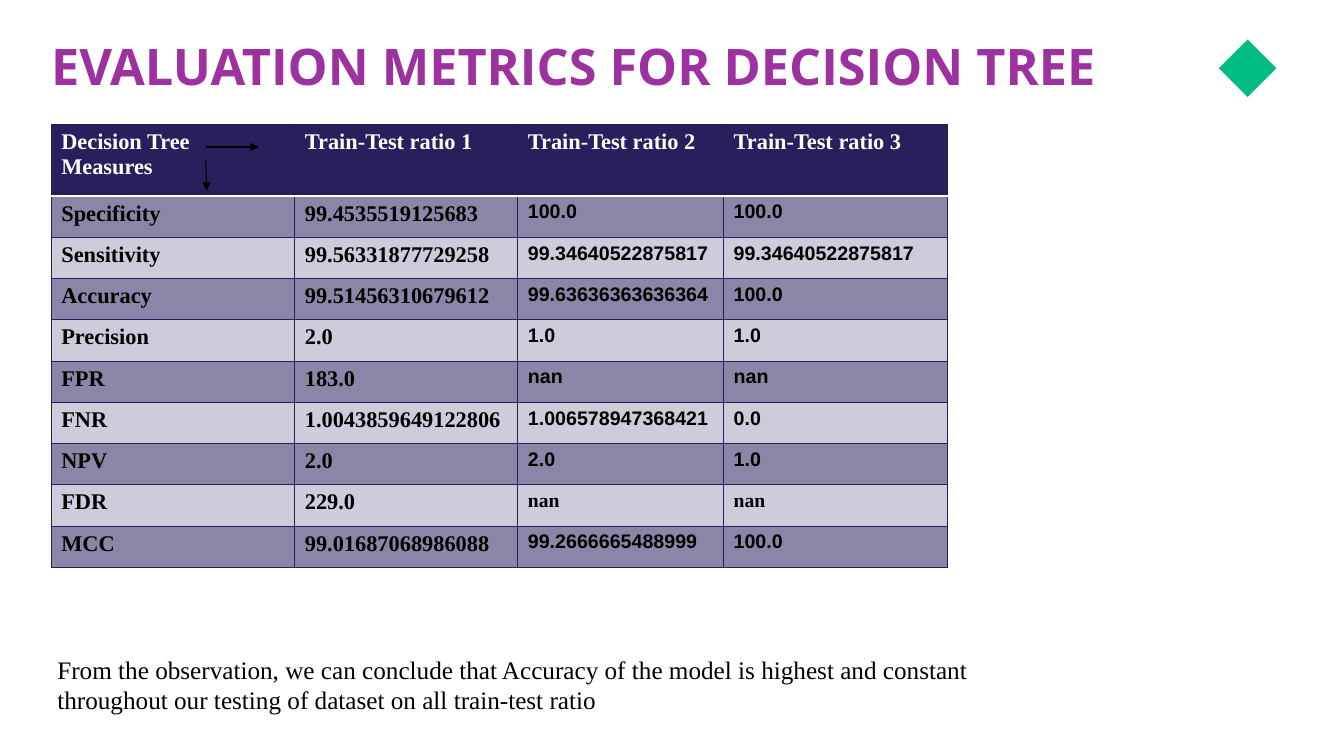
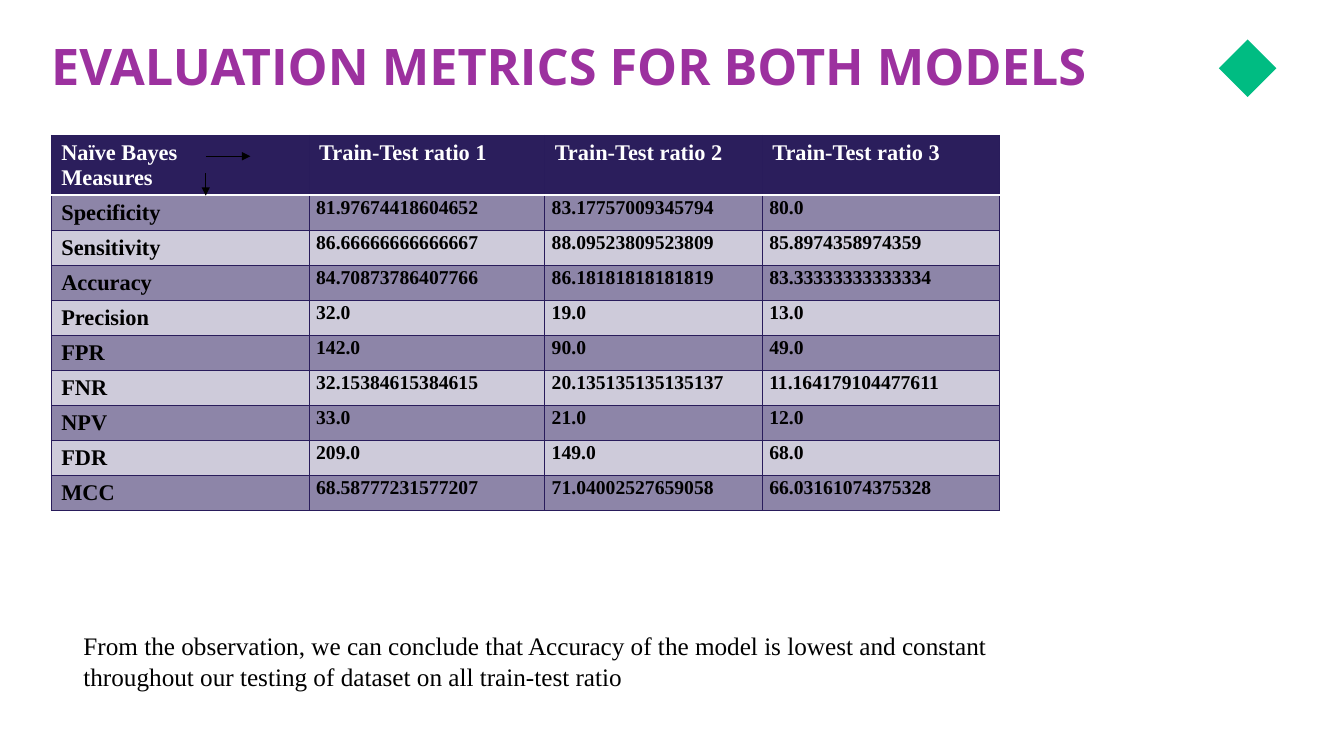
from dataclasses import dataclass

from lxml.etree import SubElement
from pptx import Presentation
from pptx.dml.color import RGBColor
from pptx.enum.shapes import MSO_CONNECTOR, MSO_SHAPE
from pptx.enum.text import MSO_ANCHOR, MSO_AUTO_SIZE, PP_ALIGN
from pptx.oxml import parse_xml
from pptx.oxml.ns import nsdecls, qn
from pptx.util import Inches, Pt

GRID_COLUMNS, GRID_ROWS = 160, 90
TITLE_ONLY_LAYOUT = 5


@dataclass(frozen=True)
class Theme:
    title: str = "9C319F"
    accent: str = "00BC82"
    header: str = "2B1E5C"
    border: str = "291C5B"
    dark_band: str = "8D85A8"
    light_band: str = "CECBDA"
    light: str = "FFFFFF"
    ink: str = "000000"
    title_font: str = "Open Sans"
    serif: str = "Times New Roman"
    sans: str = "Arial"
    title_size: float = 36
    note_size: float = 18
    label_size: float = 16
    value_size: float = 14
    line_width: float = 0.75
    header_line_width: float = 2


THEME = Theme()


@dataclass(frozen=True)
class CellStyle:
    font: str = THEME.serif
    size: float = THEME.label_size
    margins: tuple = (0.1, 0.05)
    line_spacing: float = 1.0


LABEL = CellStyle()
SANS_VALUE = CellStyle(font=THEME.sans, size=THEME.value_size)
SERIF_VALUE = CellStyle(size=THEME.value_size)
TIGHT_VALUE = CellStyle(size=THEME.value_size, margins=(0.07, 0), line_spacing=1.07)


class Deck:
    """Holds the theme, the presentation and the slide being built."""

    def __init__(self, theme):
        self.theme = theme
        self.presentation = Presentation()
        self.presentation.slide_width = Inches(13.33)
        self.presentation.slide_height = Inches(7.5)
        self.slide = None

    def across(self, columns):
        return round(self.presentation.slide_width * columns / GRID_COLUMNS)

    def down(self, rows):
        return round(self.presentation.slide_height * rows / GRID_ROWS)

    def box(self, left, top, width, height):
        return self.across(left), self.down(top), self.across(width), self.down(height)

    def styled_run(self, paragraph, text, font, size, color, bold=False):
        run = paragraph.add_run()
        run.text = text
        run.font.name = font
        run.font.size = Pt(size)
        run.font.bold = bold
        run.font.color.rgb = RGBColor.from_string(color)

    def new_slide(self, title):
        layout = self.presentation.slide_layouts[TITLE_ONLY_LAYOUT]
        self.slide = self.presentation.slides.add_slide(layout)
        self.diamond()
        self.title(title)

    def diamond(self):
        shape = self.slide.shapes.add_shape(
            MSO_SHAPE.DIAMOND, *self.box(145.1, 4.7, 6.85, 6.85))
        shape.shadow.inherit = False
        shape.fill.solid()
        shape.fill.fore_color.rgb = RGBColor.from_string(self.theme.accent)
        shape.line.fill.background()

    def title(self, text):
        shape = self.slide.shapes.title
        shape.left, shape.top, shape.width, shape.height = self.box(6.1, 5, 136.3, 11)
        frame = shape.text_frame
        frame.auto_size = MSO_AUTO_SIZE.NONE
        frame.vertical_anchor = MSO_ANCHOR.TOP
        frame.margin_left = frame.margin_right = 0
        paragraph = frame.paragraphs[0]
        paragraph.alignment = PP_ALIGN.LEFT
        paragraph.line_spacing = 0.8
        self.styled_run(paragraph, text, self.theme.title_font, self.theme.title_size,
                        self.theme.title, bold=True)

    def note(self, text, left, top, width):
        shape = self.slide.shapes.add_textbox(*self.box(left, top, width, 11.3))
        shape.text_frame.word_wrap = True
        self.styled_run(shape.text_frame.paragraphs[0], text, self.theme.serif,
                        self.theme.note_size, self.theme.ink)

    def arrow(self, start, end):
        connector = self.slide.shapes.add_connector(
            MSO_CONNECTOR.STRAIGHT, self.across(start[0]), self.down(start[1]),
            self.across(end[0]), self.down(end[1]))
        connector.line.color.rgb = RGBColor.from_string(self.theme.ink)
        connector.line.width = Pt(self.theme.line_width)
        properties = connector._element.spPr
        SubElement(properties.find(qn("a:ln")), qn("a:tailEnd"), type="triangle")
        SubElement(properties, qn("a:effectLst"))

    def cell(self, cell, text, style, fill, color):
        cell.fill.solid()
        cell.fill.fore_color.rgb = RGBColor.from_string(fill)
        cell.margin_left = cell.margin_right = Inches(style.margins[0])
        cell.margin_top = cell.margin_bottom = Inches(style.margins[1])
        frame = cell.text_frame
        for index, line in enumerate(text.split("\n")):
            paragraph = frame.add_paragraph() if index else frame.paragraphs[0]
            paragraph.line_spacing = style.line_spacing
            self.styled_run(paragraph, line, style.font, style.size, color, bold=True)

    def cell_borders(self, cell, row):
        """Draw thin borders, with a heavier light line below the header."""
        thin = (self.theme.border, self.theme.line_width)
        heavy = (self.theme.light, self.theme.header_line_width)
        sides = {"lnL": thin, "lnR": thin,
                 "lnT": heavy if row == 1 else thin,
                 "lnB": heavy if row == 0 else thin}
        properties = cell._tc.get_or_add_tcPr()
        for index, (side, (color, width)) in enumerate(sides.items()):
            properties.insert(index, parse_xml(
                f'<a:{side} {nsdecls("a")} w="{Pt(width)}"><a:solidFill>'
                f'<a:srgbClr val="{color}"/></a:solidFill></a:{side}>'))

    def table(self, rows, top, widths, header_height, row_height, style_for):
        """Fill a banded table; style_for gives the style of a body cell."""
        heights = [header_height] + [row_height] * (len(rows) - 1)
        frame = self.slide.shapes.add_table(
            len(rows), len(widths), *self.box(6.1, top, sum(widths), sum(heights)))
        table = frame.table
        for column, width in zip(table.columns, widths):
            column.width = self.across(width)
        for row, height in zip(table.rows, heights):
            row.height = self.down(height)
        for row, values in enumerate(rows):
            for column, text in enumerate(values):
                cell = table.cell(row, column)
                if row == 0:
                    style, fill, color = LABEL, self.theme.header, self.theme.light
                else:
                    style = style_for(values[0], column)
                    fill = self.theme.dark_band if row % 2 else self.theme.light_band
                    color = self.theme.ink
                self.cell(cell, text, style, fill, color)
                self.cell_borders(cell, row)


def decision_tree_style(measure, column):
    if column < 2:
        return LABEL
    return SERIF_VALUE if measure == "FDR" else SANS_VALUE


def naive_bayes_style(measure, column):
    return TIGHT_VALUE if column else LABEL


RATIOS = [f"Train-Test ratio {number}" for number in (1, 2, 3)]
MEASURES = ["Specificity", "Sensitivity", "Accuracy", "Precision", "FPR",
            "FNR", "NPV", "FDR", "MCC"]
DECISION_TREE = [
    ("99.4535519125683", "100.0", "100.0"),
    ("99.56331877729258", "99.34640522875817", "99.34640522875817"),
    ("99.51456310679612", "99.63636363636364", "100.0"),
    ("2.0", "1.0", "1.0"),
    ("183.0", "nan", "nan"),
    ("1.0043859649122806", "1.006578947368421", "0.0"),
    ("2.0", "2.0", "1.0"),
    ("229.0", "nan", "nan"),
    ("99.01687068986088", "99.2666665488999", "100.0"),
]
NAIVE_BAYES = [
    ("81.97674418604652", "83.17757009345794", "80.0"),
    ("86.66666666666667", "88.09523809523809", "85.8974358974359"),
    ("84.70873786407766", "86.18181818181819", "83.33333333333334"),
    ("32.0", "19.0", "13.0"),
    ("142.0", "90.0", "49.0"),
    ("32.15384615384615", "20.135135135135137", "11.164179104477611"),
    ("33.0", "21.0", "12.0"),
    ("209.0", "149.0", "68.0"),
    ("68.58777231577207", "71.04002527659058", "66.03161074375328"),
]


def metric_rows(model, values):
    body = [[measure, *results] for measure, results in zip(MEASURES, values)]
    return [[f"{model}\nMeasures", *RATIOS], *body]


def conclusion(rank):
    return (f"From the observation, we can conclude that Accuracy of the model is {rank} "
            "and constant throughout our testing of dataset on all train-test ratio")


def main():
    deck = Deck(THEME)

    deck.new_slide("EVALUATION METRICS FOR DECISION TREE")
    deck.table(metric_rows("Decision Tree", DECISION_TREE), 14.85,
               (29, 26.55, 24.5, 26.65), 8.5, 4.91, decision_tree_style)
    deck.arrow((24.5, 17.5), (30.8, 17.5))
    deck.arrow((24.5, 19), (24.6, 22.7))
    deck.note(conclusion("highest"), 5.65, 77.3, 112.1)

    deck.new_slide("EVALUATION METRICS FOR BOTH MODELS")
    deck.table(metric_rows("Naïve Bayes", NAIVE_BAYES), 16.1,
               (30.7, 28.05, 25.9, 28.2), 7, 4, naive_bayes_style)
    deck.arrow((24.5, 18.6), (29.8, 18.6))
    deck.arrow((24.5, 20.6), (24.5, 23.3))
    deck.note(conclusion("lowest"), 8.75, 74.5, 114.1)

    deck.presentation.save("out.pptx")


if __name__ == "__main__":
    main()
